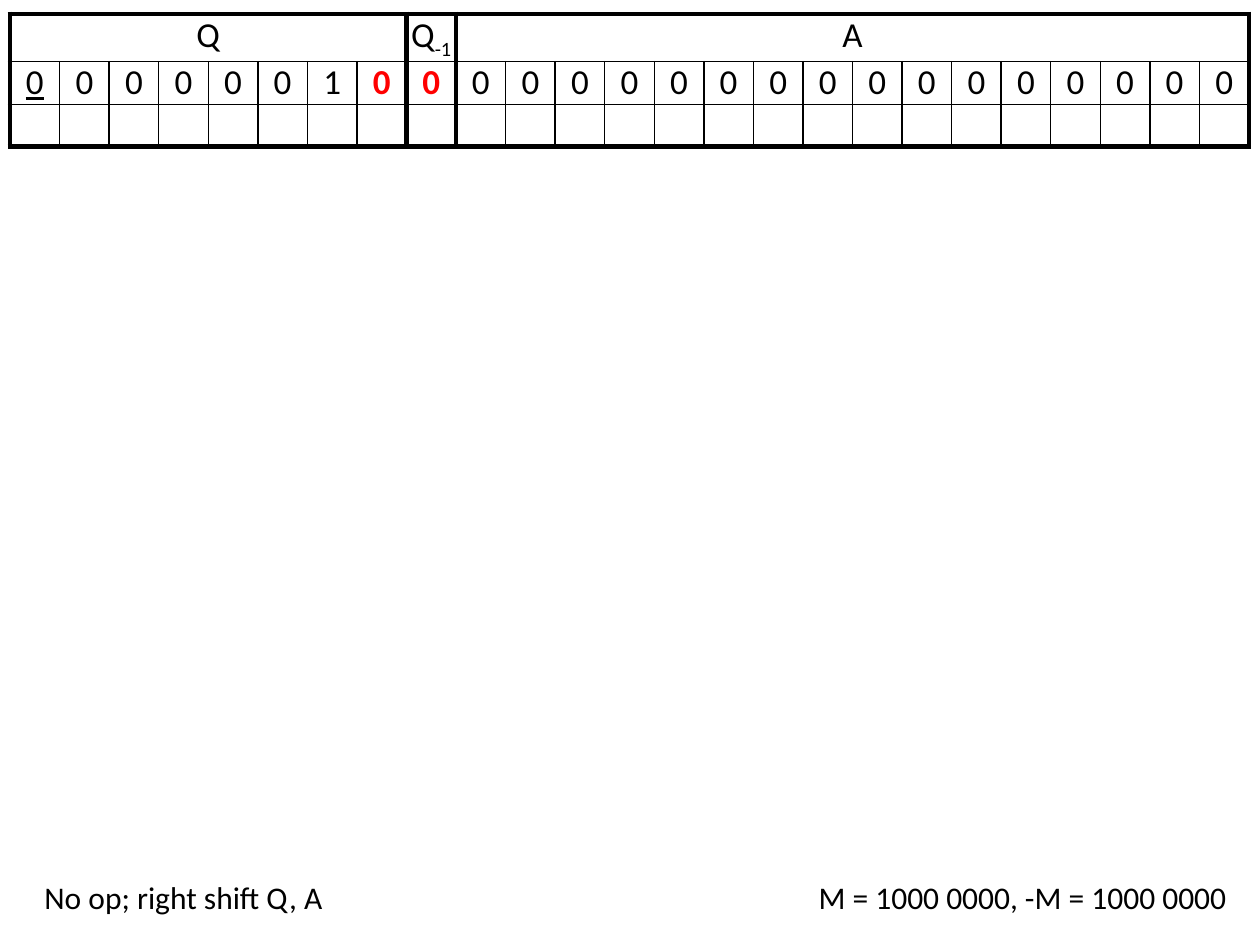
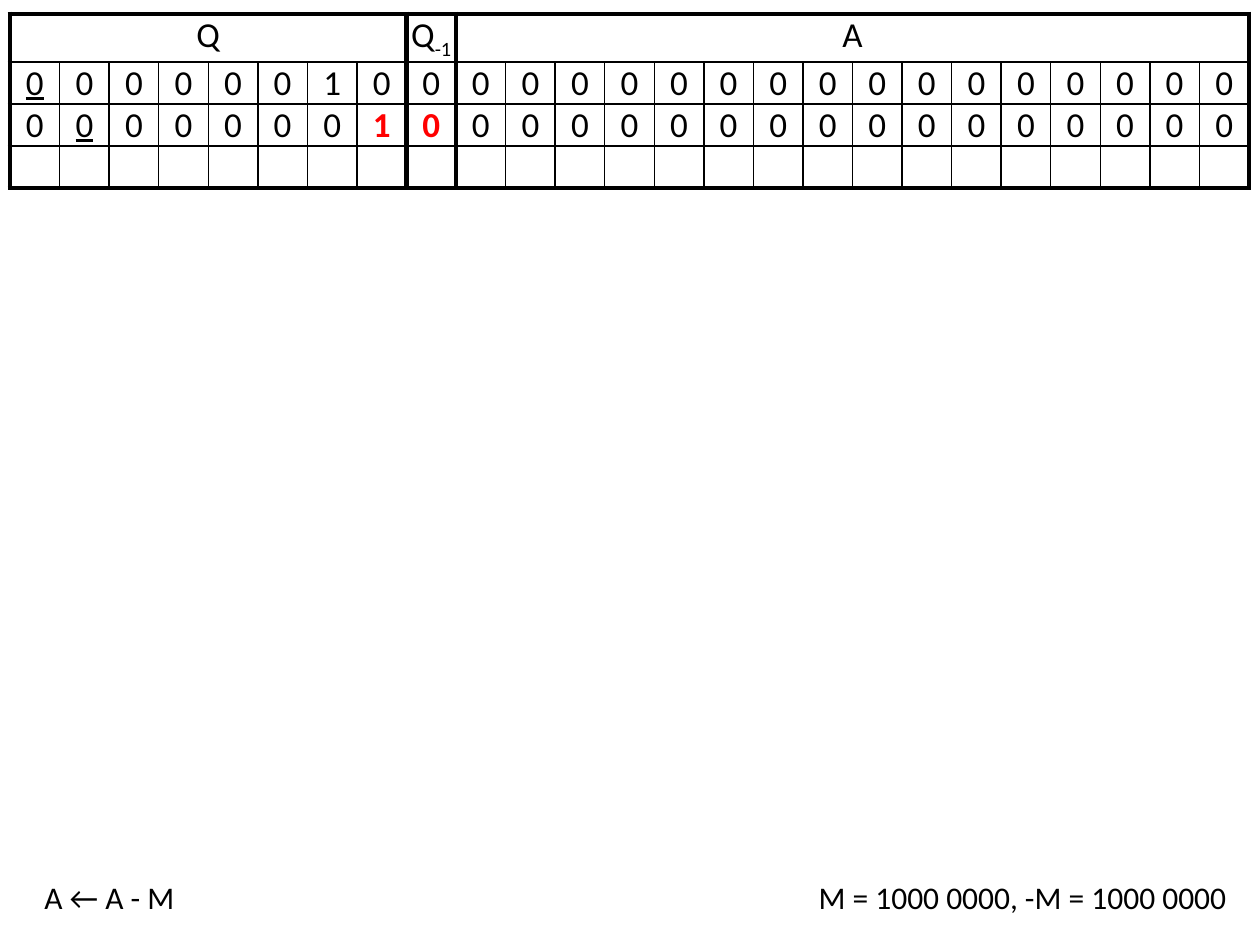
"""Trace of a Booth multiplication in its registers, one slide per step."""
from lxml import etree
from pptx import Presentation
from pptx import util as u
from pptx.dml.color import RGBColor
from pptx.enum import text
from pptx.oxml import ns

BLACK = RGBColor(0, 0, 0)
RED = RGBColor(255, 0, 0)
SCALE = 914400 / 126
THIN, THICK = 1, 3
REGISTERS = [("Q", "", 8), ("Q", "-1", 1), ("A", "", 16)]
BITS = sum(width for _, _, width in REGISTERS)
REGISTER_EDGES = {0, 8, 9, BITS}
DECIDING_BITS = {7, 8}
OPERANDS = "M = 1000 0000, -M = 1000 0000"
STATES = [
    "00000010" + "0" + "0" * 16,
    "00000001" + "0" + "0" * 16,
]
ACTIONS = ["No op; right shift Q, A", "A \u2190 A - M"]


def px(length):
    return u.Emu(round(length * SCALE))


class Deck:
    def __init__(self):
        self.file = Presentation()
        self.file.slide_width, self.file.slide_height = px(1260), px(945)
        self.slide = None

    def new_slide(self):
        self.slide = self.file.slides.add_slide(self.file.slide_layouts[6])

    def add_words(self, paragraph, words, size, color=BLACK, **changes):
        run = paragraph.add_run()
        run.text = words
        style = {"name": "Calibri", "size": u.Pt(size), "bold": False, "underline": False}
        for key, value in (style | changes).items():
            setattr(run.font, key, value)
        run.font.color.rgb = color
        return run

    def caption(self, left, words, align):
        box = self.slide.shapes.add_textbox(px(left), px(872), px(483), px(50))
        frame = box.text_frame
        frame.word_wrap = True
        frame.auto_size = text.MSO_AUTO_SIZE.SHAPE_TO_FIT_TEXT
        frame.paragraphs[0].alignment = align
        self.add_words(frame.paragraphs[0], words, 18)

    def border(self, cell, widths):
        properties = cell._tc.get_or_add_tcPr()
        for side, width in zip("LRTB", widths):
            line = etree.SubElement(properties, ns.qn(f"a:ln{side}"), w=str(u.Pt(width)))
            fill = etree.SubElement(line, ns.qn("a:solidFill"))
            etree.SubElement(fill, ns.qn("a:srgbClr"), val=str(BLACK))

    def prepare_cell(self, cell, widths):
        self.border(cell, widths)
        cell.fill.background()
        for side in ("left", "right", "top", "bottom"):
            setattr(cell, f"margin_{side}", 0)
        cell.text_frame.paragraphs[0].alignment = text.PP_ALIGN.CENTER

    def register_table(self, states):
        rows = len(states) + 2
        frame = self.slide.shapes.add_table(rows, BITS, px(10), px(14), px(1239), px(42 * rows))
        table = frame.table
        table.first_row = table.horz_banding = False
        for column in table.columns:
            column.width = px(1239) // BITS
        for row in range(rows):
            for bit in range(BITS):
                left, right = (THICK if row == 0 or edge in REGISTER_EDGES else THIN
                               for edge in (bit, bit + 1))
                top = THICK if row == 0 else THIN
                bottom = THICK if row == rows - 1 else THIN
                self.prepare_cell(table.cell(row, bit), (left, right, top, bottom))
        self.register_names(table)
        for row, state in enumerate(states, 1):
            for bit, digit in enumerate(state):
                current = row == len(states) and bit in DECIDING_BITS
                self.add_words(table.cell(row, bit).text_frame.paragraphs[0], digit, 20,
                               RED if current else BLACK,
                               underline=bit == row - 1, bold=current)

    def register_names(self, table):
        start = 0
        for name, subscript, width in REGISTERS:
            heading = table.cell(0, start)
            if width > 1:
                heading.merge(table.cell(0, start + width - 1))
            paragraph = heading.text_frame.paragraphs[0]
            self.add_words(paragraph, name, 20)
            if subscript:
                index = self.add_words(paragraph, subscript, 20)
                index._r.get_or_add_rPr().set("baseline", "-25000")
            start += width


deck = Deck()
for step, action in enumerate(ACTIONS, 1):
    deck.new_slide()
    deck.register_table(STATES[:step])
    deck.caption(32, action, text.PP_ALIGN.LEFT)
    deck.caption(756, OPERANDS, text.PP_ALIGN.RIGHT)
deck.file.save("out.pptx")
